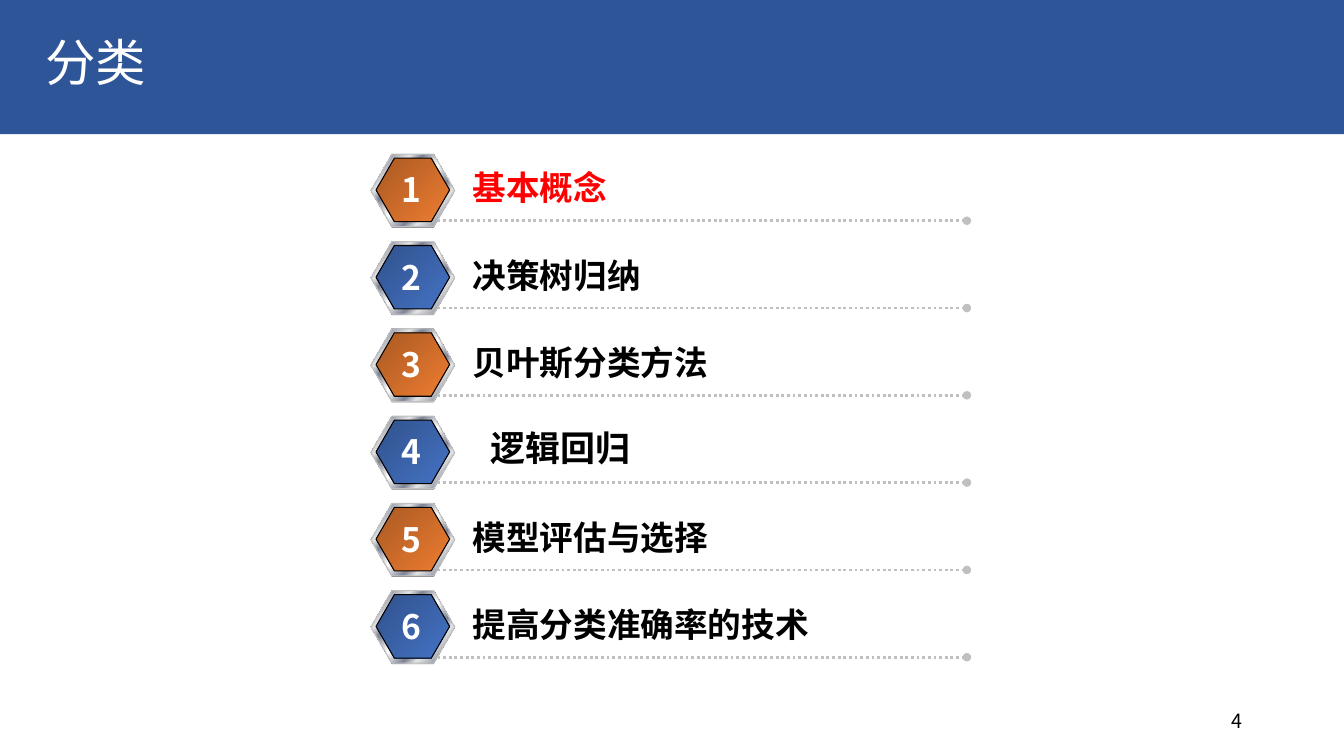
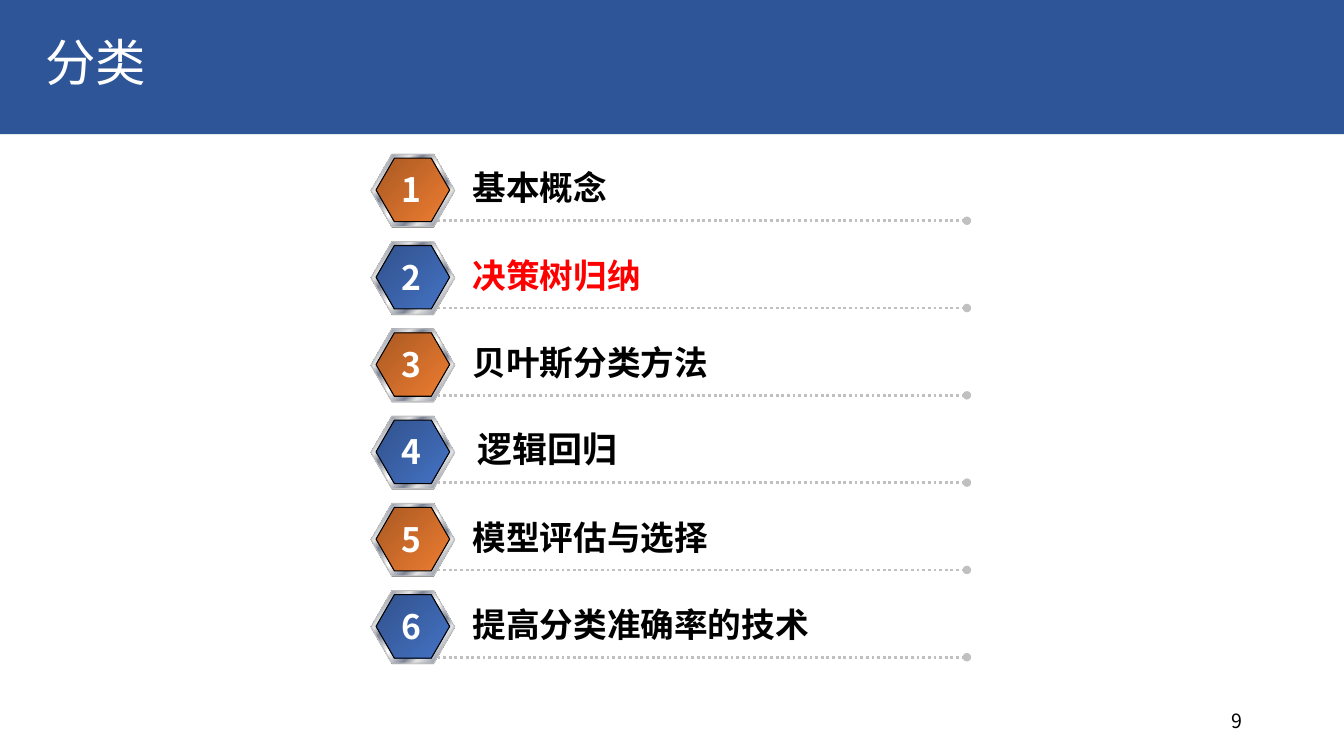
from dataclasses import dataclass

from lxml.etree import SubElement
from pptx import Presentation
from pptx.dml.color import RGBColor
from pptx.enum.dml import MSO_LINE
from pptx.enum.shapes import MSO_CONNECTOR, MSO_SHAPE
from pptx.enum.text import MSO_ANCHOR, MSO_AUTO_SIZE, PP_ALIGN
from pptx.oxml.ns import qn
from pptx.util import Inches, Pt

Stops = tuple[tuple[int, str], ...]
Box = tuple[float, float, float, float]


@dataclass(frozen=True)
class Theme:
    band: str = "2E5597"
    white: str = "FFFFFF"
    black: str = "000000"
    active: str = "FF0000"
    shade: str = "808080"
    silver: str = "C0C0C0"
    orange: Stops = ((0, "AA5923"), (100, "ED7D31"))
    blue: Stops = ((0, "31528C"), (100, "4472C4"))
    metal: Stops = (
        (0, "E6E6E6"), (8, "7D8496"), (26, "E6E6E6"), (34, "7D8496"),
        (46, "E6E6E6"), (50, "FFFFFF"), (54, "E6E6E6"), (66, "7D8496"),
        (74, "E6E6E6"), (92, "7D8496"), (100, "E6E6E6"),
    )
    sans: str = "Noto Sans CJK SC"
    head: str = "Arial"
    serif: str = "Times New Roman"
    title: int = 36
    item: int = 24
    large: int = 25
    page: int = 14


@dataclass(frozen=True)
class Topic:
    text: str
    left: float = 4.59
    rise: float = 0.58  # label top above the dotted line
    size: int = Theme.item
    font: str = Theme.sans


@dataclass(frozen=True)
class Agenda:
    page: int
    active: int
    logit: Topic  # the fourth topic sits differently on each slide


THEME = Theme()
TITLE = "分类"
FIRST, LAST = 2.19, 6.52  # heights of the first and last dotted line
AGENDAS = (
    Agenda(4, 1, Topic("逻辑回归", 4.77, 0.61, THEME.large, THEME.serif)),
    Agenda(9, 2, Topic("逻辑回归", 4.64, 0.60, THEME.large, THEME.serif)),
)


def rgb(code: str) -> RGBColor:
    return RGBColor.from_string(code)


def place(box: Box) -> list[Inches]:
    return [Inches(v) for v in box]


def style(par, size: int, color: str, font: str, bold: bool = False) -> None:
    for run in par.runs:
        run.font.size, run.font.bold = Pt(size), bold
        run.font.color.rgb = rgb(color)
        run.font.name = font
        east = SubElement(run.font._element, qn("a:ea"))
        east.set("typeface", THEME.sans)


def write(shapes, box: Box, text: str, size: int, color: str,
          font: str = THEME.sans, bold: bool = True,
          align: PP_ALIGN = PP_ALIGN.LEFT):
    frame = shapes.add_textbox(*place(box)).text_frame
    frame.text = text
    frame.paragraphs[0].alignment = align
    style(frame.paragraphs[0], size, color, font, bold)
    return frame


def blend(shape, stops: Stops) -> None:
    """Fill a shape with a diagonal gradient."""
    shape.fill.gradient()
    shape.fill.gradient_angle = 315
    chain = shape.element.spPr.find(qn("a:gradFill")).find(qn("a:gsLst"))
    for old in list(chain):
        chain.remove(old)
    for pos, code in stops:
        stop = SubElement(chain, qn("a:gs"), pos=str(pos * 1000))
        SubElement(stop, qn("a:srgbClr"), val=code)


def hexagon(shapes, box: Box, fill: str | Stops, line: str | None) -> None:
    shape = shapes.add_shape(MSO_SHAPE.HEXAGON, *place(box))
    shape.shadow.inherit = False
    shape.adjustments[0] = 0.289
    if isinstance(fill, str):
        shape.fill.solid()
        shape.fill.fore_color.rgb = rgb(fill)
    else:
        blend(shape, fill)
    if line:
        shape.line.color.rgb = rgb(line)
        shape.line.width = Pt(0.75)
    else:
        shape.line.fill.background()


def rule(shapes, base: float) -> None:
    """Dotted line with a round end."""
    link = shapes.add_connector(
        MSO_CONNECTOR.STRAIGHT, *place((4.34, base, 9.59, base)))
    link.line.color.rgb = rgb(THEME.silver)
    link.line.width = Pt(2)
    link.line.dash_style = MSO_LINE.ROUND_DOT
    frame = link.element.spPr
    SubElement(frame.find(qn("a:ln")), qn("a:tailEnd"), type="oval")
    SubElement(frame, qn("a:effectLst"))


def row(slide, num: int, base: float, topic: Topic, active: bool) -> None:
    shapes = slide.shapes.add_group_shape().shapes
    # Numbered badge
    core = THEME.orange if num % 2 else THEME.blue
    hexagon(shapes, (3.68, base - 0.65, 0.83, 0.72), THEME.shade, None)
    hexagon(shapes, (3.68, base - 0.66, 0.83, 0.72), THEME.metal, THEME.silver)
    hexagon(shapes, (3.73, base - 0.62, 0.73, 0.63), core, THEME.black)
    rule(shapes, base)
    # Label and number
    wide = 0.2 + 0.014 * topic.size * len(topic.text)
    label = write(shapes, (topic.left, base - topic.rise, wide, 0.51),
                  topic.text, topic.size,
                  THEME.active if active else THEME.black, topic.font)
    digit = write(shapes, (3.88, base - 0.56, 0.37, 0.51), str(num),
                  THEME.item, THEME.white, align=PP_ALIGN.CENTER)
    for frame in (label, digit):
        frame.word_wrap = False
        frame.auto_size = MSO_AUTO_SIZE.SHAPE_TO_FIT_TEXT


def add_band(slide) -> None:
    """Put the title band on the layout, behind its placeholders."""
    band = slide.shapes.add_shape(
        MSO_SHAPE.RECTANGLE, *place((-0.03, -0.01, 13.41, 1.34)))
    band.shadow.inherit = False
    band.fill.solid()
    band.fill.fore_color.rgb = rgb(THEME.band)
    band.line.fill.background()
    slide.slide_layout.shapes.element.insert(2, band.element)


def add_title(slide) -> None:
    title = slide.shapes.title
    title.left, title.top, title.width, title.height = place(
        (0.35, 0.15, 11.33, 1))
    frame = title.text_frame
    frame.text = TITLE
    frame.auto_size = MSO_AUTO_SIZE.NONE
    frame.vertical_anchor = MSO_ANCHOR.MIDDLE
    par = frame.paragraphs[0]
    par.alignment, par.line_spacing = PP_ALIGN.LEFT, 0.9
    style(par, THEME.title, THEME.white, THEME.head)


def add_agenda(slide, plan: Agenda) -> None:
    add_title(slide)
    topics = (
        Topic("基本概念"), Topic("决策树归纳"), Topic("贝叶斯分类方法"),
        plan.logit, Topic("模型评估与选择"), Topic("提高分类准确率的技术"),
    )
    step = (LAST - FIRST) / (len(topics) - 1)
    for i, topic in enumerate(topics):
        row(slide, i + 1, FIRST + i * step, topic, i + 1 == plan.active)
    # Page number
    foot = write(slide.shapes, (9.42, 6.95, 3, 0.4), str(plan.page),
                 THEME.page, THEME.black, bold=False, align=PP_ALIGN.RIGHT)
    foot.word_wrap = True
    foot.vertical_anchor = MSO_ANCHOR.MIDDLE


def main() -> None:
    deck = Presentation()
    deck.slide_width, deck.slide_height = Inches(13.33), Inches(7.5)
    layout = deck.slide_layouts[5]  # title only
    slides = [deck.slides.add_slide(layout) for _ in AGENDAS]
    add_band(slides[0])
    for slide, plan in zip(slides, AGENDAS):
        add_agenda(slide, plan)
    deck.save("out.pptx")


if __name__ == "__main__":
    main()
